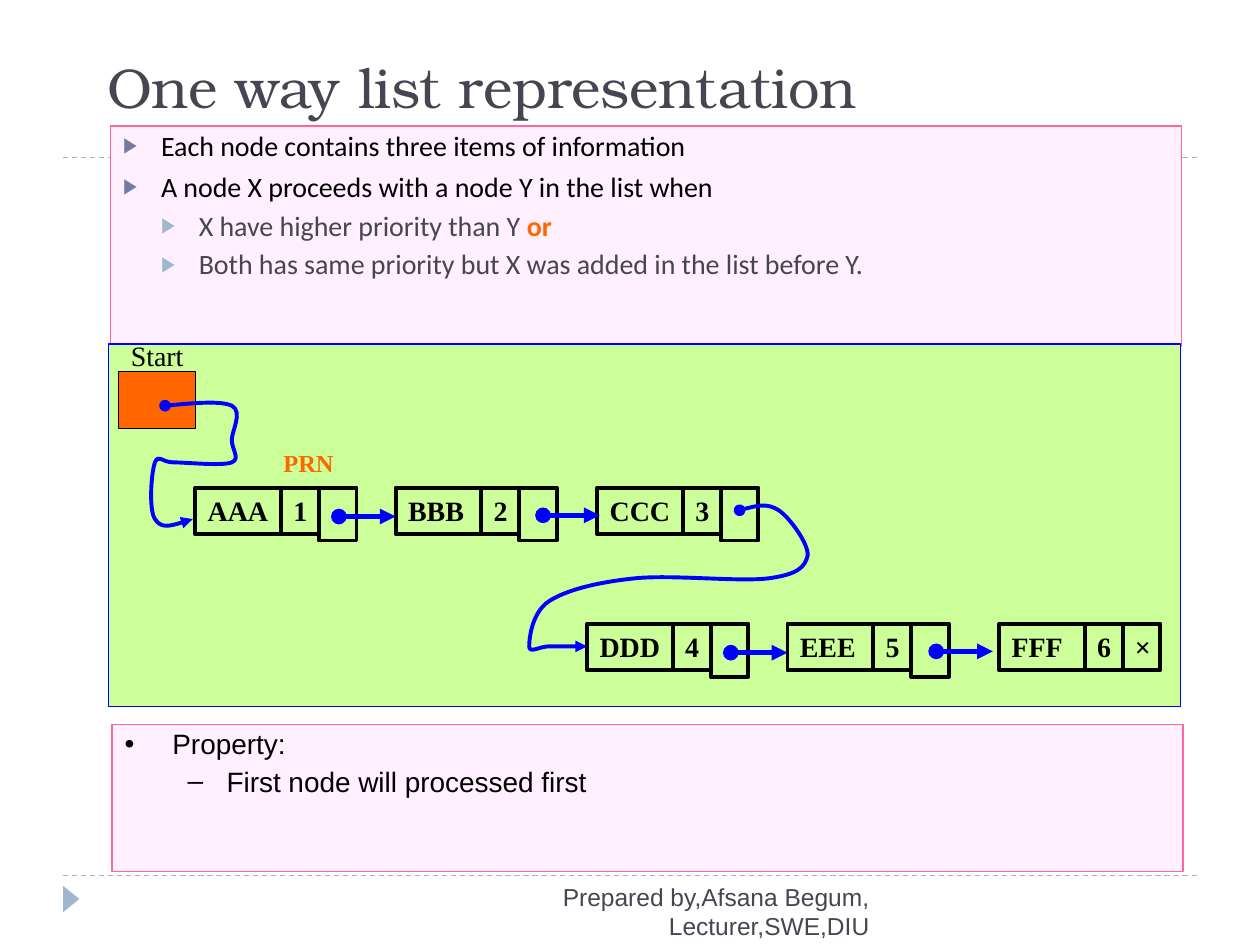
from lxml.etree import SubElement
from pptx import Presentation
from pptx.dml.color import RGBColor
from pptx.enum.dml import MSO_LINE
from pptx.enum.shapes import MSO_CONNECTOR, MSO_SHAPE
from pptx.enum.text import MSO_ANCHOR, MSO_AUTO_SIZE, PP_ALIGN
from pptx.oxml.ns import qn
from pptx.util import Inches, Pt

HUE = {"ink": "464653", "black": "000000", "mist": "9FB8CD", "slate": "727CA3", "pink": "FFEFFF",
       "rose": "FF6699", "lime": "CCFF99", "blue": "0000FF", "flame": "FF6600"}
SERIF = "Times New Roman"

TITLE = "One way list representation"
CREDIT = "Prepared by,Afsana Begum, Lecturer,SWE,DIU"
POINTS = [
    (0, [("Each node contains three items of information", "black", False)]),
    (0, [("A node X proceeds with a node Y in the list when", "black", False)]),
    (1, [("X have higher priority than Y ", "ink", False), ("or", "flame", True)]),
    (1, [("Both has same priority but X was added in the list before Y.", "ink", False)]),
]
TRAITS = [
    (0, [("Property:", "black", False)]),
    (1, [("First node will processed first", "black", False)]),
]
POINT_STYLE = [("▶", "slate", 76, 0.3, 0.3, 6), ("▶", "mist", 76, 0.6, 0.3, 5)]
TRAIT_STYLE = [("•", "black", 100, 0.38, 0.38, 4), ("–", "black", 100, 0.81, 0.31, 4)]

NODES = [
    (1.55, 3.87, "AAA", "1", ""), (3.14, 3.87, "BBB", "2", ""), (4.74, 3.87, "CCC", "3", ""),
    (4.66, 4.95, "DDD", "4", ""), (6.25, 4.95, "EEE", "5", ""), (7.93, 4.95, "FFF", "6", "×"),
]
WIDTHS = (0.68, 0.3, 0.3)
CELL, DROP = 0.37, 0.42
LINKS = [(2.69, 4.1), (4.31, 4.09), (5.8, 5.18), (7.43, 5.17)]
REACH = 0.45
CURVES = [
    [(5.87, 4.05), (5.98, 4.02), (6.09, 3.99), (6.18, 4.05), (6.27, 4.11), (6.42, 4.32),
     (6.41, 4.41), (6.39, 4.5), (6.33, 4.56), (6.1, 4.59), (5.87, 4.62), (5.33, 4.56),
     (5.04, 4.59), (4.75, 4.62), (4.5, 4.68), (4.36, 4.77), (4.22, 4.86), (4.2, 5.07),
     (4.2, 5.13), (4.2, 5.19), (4.28, 5.13), (4.36, 5.13), (4.43, 5.13), (4.55, 5.13), (4.66, 5.13)],
    [(1.31, 3.22), (1.53, 3.2), (1.75, 3.18), (1.84, 3.22), (1.93, 3.27), (1.84, 3.42),
     (1.84, 3.49), (1.84, 3.57), (1.91, 3.64), (1.84, 3.67), (1.76, 3.7), (1.48, 3.67),
     (1.38, 3.67), (1.28, 3.67), (1.26, 3.6), (1.23, 3.67), (1.2, 3.75), (1.18, 4.05),
     (1.23, 4.12), (1.28, 4.2), (1.41, 4.16), (1.53, 4.12)],
]
LABELS = [("Start", 0.94, 2.64, 0.66, 0.37, 16, "black", False),
          ("PRN", 2.15, 3.51, 0.68, 0.34, 14, "flame", True)]

deck = Presentation()
deck.slide_width, deck.slide_height = Inches(10), Inches(7.5)
slide = deck.slides.add_slide(deck.slide_layouts[5])
shapes = slide.shapes


def color(name):
    return RGBColor.from_string(HUE[name])


def style(font, face, size, hue, bold=False):
    font.name, font.size, font.bold = face, Pt(size), bold
    font.color.rgb = color(hue)


def box(x, y, w, h, fill=None, line=None, weight=0.75, kind=MSO_SHAPE.RECTANGLE):
    shape = shapes.add_shape(kind, *map(Inches, (x, y, w, h)))
    shape.shadow.inherit = False
    if fill:
        shape.fill.solid()
        shape.fill.fore_color.rgb = color(fill)
    else:
        shape.fill.background()
    if line:
        shape.line.color.rgb = color(line)
        shape.line.width = Pt(weight)
    else:
        shape.line.fill.background()
    return shape


def write(shape, text, face, size, hue, bold=False, align=PP_ALIGN.LEFT, right=0.1):
    frame = shape.text_frame
    frame.text = text
    frame.word_wrap = True
    frame.vertical_anchor = MSO_ANCHOR.TOP
    frame.margin_right = Inches(right)
    para = frame.paragraphs[0]
    para.alignment = align
    style(para.runs[0].font, face, size, hue, bold)


def label(text, x, y, w, h, size, hue, bold=False, face=SERIF, align=PP_ALIGN.LEFT, right=0.0):
    area = shapes.add_textbox(*map(Inches, (x, y, w, h)))
    write(area, text, face, size, hue, bold, align, right)


def rule(x1, y1, x2, y2, hue, weight):
    line = shapes.add_connector(MSO_CONNECTOR.STRAIGHT, *map(Inches, (x1, y1, x2, y2)))
    line.line.color.rgb = color(hue)
    line.line.width = Pt(weight)
    SubElement(line._element.spPr, qn("a:effectLst"))
    return line


def arrow(shape):
    edge = shape.line._get_or_add_ln()
    SubElement(edge, qn("a:headEnd"), type="oval")
    SubElement(edge, qn("a:tailEnd"), type="triangle")


def bullet(para, mark, hue, size, left, hang):
    props = para._p.get_or_add_pPr()
    props.set("marL", str(Inches(left)))
    props.set("indent", str(-Inches(hang)))
    tint = SubElement(props, qn("a:buClr"))
    SubElement(tint, qn("a:srgbClr"), val=HUE[hue])
    SubElement(props, qn("a:buSzPct"), val=str(size * 1000))
    SubElement(props, qn("a:buFont"), typeface="Arial")
    SubElement(props, qn("a:buChar"), char=mark)


def panel(x, y, w, h, items, looks, face):
    frame = box(x, y, w, h, "pink", "rose").text_frame
    frame.word_wrap = True
    frame.vertical_anchor = MSO_ANCHOR.TOP
    for i, (level, runs) in enumerate(items):
        para = frame.paragraphs[0] if i == 0 else frame.add_paragraph()
        *look, gap = looks[level]
        bullet(para, *look)
        para.level = level
        para.alignment = PP_ALIGN.LEFT
        para.line_spacing = 0.9
        para.space_before = Pt(gap if i else 0)
        for text, hue, bold in runs:
            run = para.add_run()
            run.text = text
            style(run.font, face, 16, hue, bold)


def curve(spots):
    first, *rest = [(Inches(x), Inches(y)) for x, y in spots]
    maker = shapes.build_freeform(*first)
    maker.add_line_segments(rest, close=False)
    shape = maker.convert_to_shape()
    shape.shadow.inherit = False
    shape.fill.background()
    shape.line.color.rgb = color("blue")
    shape.line.width = Pt(2.25)
    arrow(shape)
    route = next(shape._element.iter(qn("a:path")))
    steps = route.findall(qn("a:lnTo"))
    for i in range(0, len(steps), 3):
        bend = SubElement(route, qn("a:cubicBezTo"))
        for step in steps[i:i + 3]:
            bend.append(step[0])
            route.remove(step)


for y in (6.95, 1.25):
    rule(0.5, y, 9.5, y, "mist", 0.75).line.dash_style = MSO_LINE.DASH
box(0.46, 7.07, 0.21, 0.13, "mist", kind=MSO_SHAPE.ISOSCELES_TRIANGLE).rotation = 90

title = shapes.title
title.left, title.top, title.width, title.height = map(Inches, (0.75, 0.17, 8.5, 0.83))
write(title, TITLE, "TeX Gyre Bonum", 32, "ink")
title.text_frame.vertical_anchor = MSO_ANCHOR.BOTTOM
title.text_frame.auto_size = MSO_AUTO_SIZE.NONE

label(CREDIT, 3.17, 6.95, 3.83, 0.4, 14, "ink", face="Arial", align=PP_ALIGN.RIGHT, right=0.1)
panel(0.88, 1, 8.5, 1.75, POINTS, POINT_STYLE, "Calibri")
box(0.86, 2.73, 8.51, 2.88, "lime", "blue")

for x, y, *cells in NODES:
    for text, w in zip(cells, WIDTHS):
        cell = box(x, y, w, CELL if text else DROP, line="black", weight=2.25)
        if text:
            write(cell, text, SERIF, 16, "black", True, right=0)
        x += w

for x, y in LINKS:
    arrow(rule(x, y, x + REACH, y, "blue", 3))

box(0.94, 2.95, 0.61, 0.45, "flame", "black")
for spots in CURVES:
    curve(spots)
for item in LABELS:
    label(*item)
panel(0.89, 5.75, 8.5, 1.17, TRAITS, TRAIT_STYLE, "Arial")

deck.save("out.pptx")
